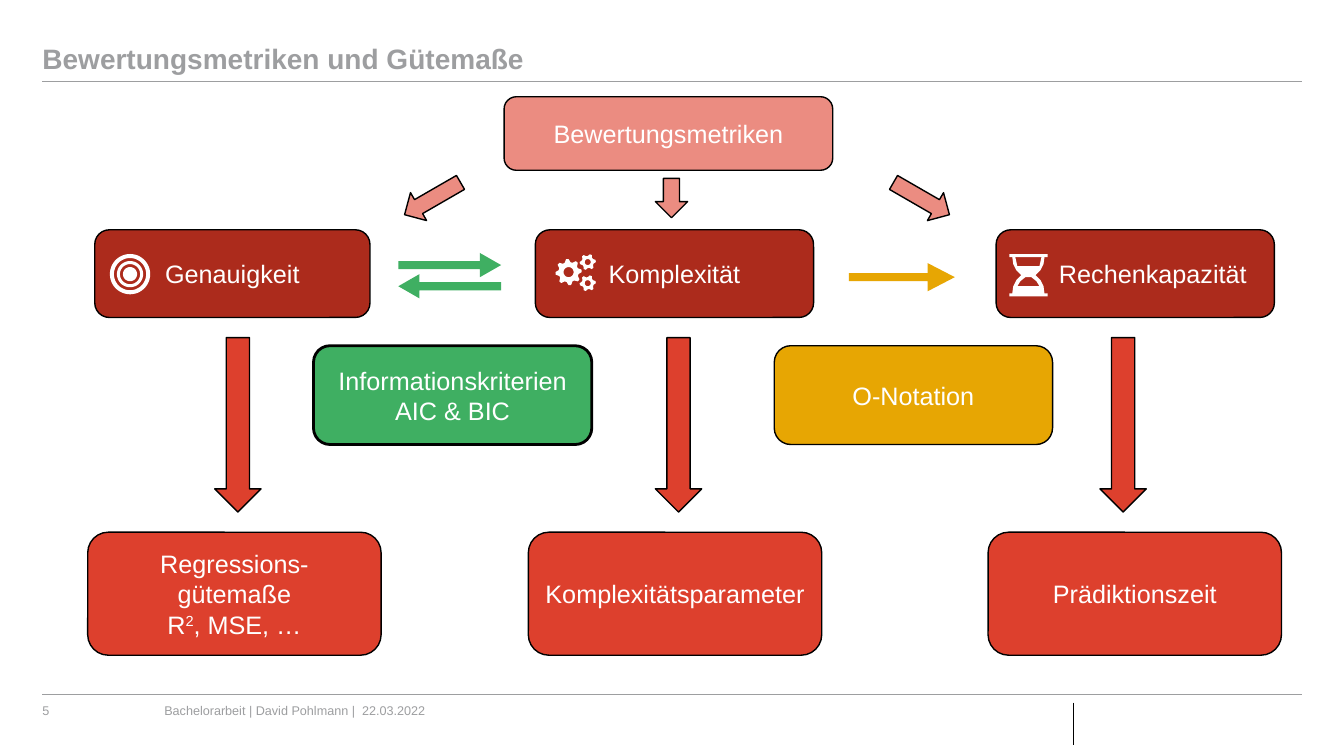
import math
import pptx
import pptx.util
import pptx.dml.color
import pptx.enum.shapes
import pptx.enum.text
import pptx.oxml.ns
import lxml.etree

Inches = pptx.util.Inches
Pt = pptx.util.Pt
Kind = pptx.enum.shapes.MSO_SHAPE
Align = pptx.enum.text.PP_ALIGN
Anchor = pptx.enum.text.MSO_ANCHOR

GREY, BLACK, WHITE = "9D9EA0", "000000", "FFFFFF"
PINK, RED, DARK = "EB8C81", "DD402D", "AC2B1C"
GREEN, GOLD = "3FAF62", "E7A603"


def color(code):
    return pptx.dml.color.RGBColor.from_string(code)


def write(frame, text, size=18, tint=WHITE, bold=False, align=Align.CENTER,
          anchor=Anchor.MIDDLE, pad=(0.05, 0.05), space=None):
    """Fill a text frame; the part between two ^ marks is raised."""
    frame.word_wrap = True
    frame.vertical_anchor = anchor
    frame.margin_left, frame.margin_right = map(Inches, pad)
    frame.margin_top = frame.margin_bottom = 0
    for row, line in enumerate(text.split("\n")):
        para = frame.add_paragraph() if row else frame.paragraphs[0]
        para.alignment = align
        para.line_spacing = space
        for part, piece in enumerate(line.split("^")):
            run = para.add_run()
            run.text = piece
            run.font.name = "Arial"
            run.font.size = Pt(size)
            run.font.bold = bold
            run.font.color.rgb = color(tint)
            if part % 2:
                run.font._element.set("baseline", "30000")


class Deck:
    def __init__(self):
        self.file = pptx.Presentation()
        self.file.slide_width = Inches(13.33)
        self.file.slide_height = Inches(7.5)
        self.slide = self.file.slides.add_slide(self.file.slide_layouts[6])
        self.shapes = self.slide.shapes

    def paint(self, shape, fill, line=None):
        shape.shadow.inherit = False
        shape.fill.solid()
        shape.fill.fore_color.rgb = color(fill)
        if line:
            shape.line.color.rgb = color(BLACK)
            shape.line.width = Pt(line)
        else:
            shape.line.fill.background()

    def shape(self, kind, x, y, w, h, fill, line=1, turn=0):
        shape = self.shapes.add_shape(kind, *map(Inches, (x, y, w, h)))
        self.paint(shape, fill, line)
        shape.rotation = turn
        return shape

    def box(self, text, x, y, w, h, fill, line=1, **style):
        shape = self.shape(Kind.ROUNDED_RECTANGLE, x, y, w, h, fill, line)
        write(shape.text_frame, text, **style)

    def arrow(self, x, y, w, h, fill, turn=0):
        self.shape(Kind.DOWN_ARROW, x, y, w, h, fill, turn=turn)

    def label(self, text, x, y, w, h, **style):
        box = self.shapes.add_textbox(*map(Inches, (x, y, w, h)))
        write(box.text_frame, text, tint=GREY, align=Align.LEFT, pad=(0, 0), **style)

    def rule(self, x1, y1, x2, y2, tint, width):
        line = self.shapes.add_connector(
            pptx.enum.shapes.MSO_CONNECTOR.STRAIGHT, *map(Inches, (x1, y1, x2, y2)))
        line.line.color.rgb = color(tint)
        line.line.width = Pt(width)
        lxml.etree.SubElement(line._element.spPr, pptx.oxml.ns.qn("a:effectLst"))

    def free(self, loops, fill):
        """One outline made of closed loops; inner loops cut holes."""
        loops = [[(Inches(x), Inches(y)) for x, y in loop] for loop in loops]
        pen = self.shapes.build_freeform(*loops[0][0])
        for nth, loop in enumerate(loops):
            if nth:
                pen.move_to(*loop[0])
            pen.add_line_segments(loop[1:], close=True)
        self.paint(pen.convert_to_shape(), fill)


def dart(x, y, size, head, half, stem):
    """Flat arrow with its tip at x, y; a negative size points left."""
    way = math.copysign(1, size)
    neck, tail = x - way * head, x - size
    return [(x, y), (neck, y + half), (neck, y + stem), (tail, y + stem),
            (tail, y - stem), (neck, y - stem), (neck, y - half)]


def ring(x, y, radii):
    step = 2 * math.pi / len(radii)
    return [(x + r * math.cos(i * step), y + r * math.sin(i * step))
            for i, r in enumerate(radii)]


def gear(x, y, tip, root, hole, teeth):
    return [ring(x, y, [tip, root, root, tip] * teeth), ring(x, y, [hole] * 24)]


def glass(x, y):
    """Hourglass around x, y, mirrored on both axes."""
    side = [(0.19, -0.21), (0.19, -0.18), (0.16, -0.18), (0.15, -0.11),
            (0.12, -0.05), (0.07, 0)]
    side += [(a, -b) for a, b in side[-2::-1]]
    upper = [(0.13, -0.18), (0.11, -0.09)]
    lower = [(0.03, 0.02), (0.08, 0.06), (0.11, 0.11)]
    return [[(x + a, y + b) for a, b in half + [(-a, b) for a, b in half[::-1]]]
            for half in (side, upper, lower)]


def main():
    deck = Deck()

    # Title and footer
    deck.label("Bewertungsmetriken und Gütemaße", 0.42, 0.16, 12.49, 0.59,
               size=20, bold=True, anchor=Anchor.BOTTOM, space=0.9)
    deck.label("5", 0.42, 6.97, 0.96, 0.15, size=9, anchor=Anchor.TOP)
    deck.label("Bachelorarbeit | David Pohlmann |  22.03.2022", 1.63, 6.97,
               3.94, 0.47, size=9, anchor=Anchor.TOP)
    for y in (0.81, 6.89):
        deck.rule(0.42, y, 12.91, y, GREY, 0.5)
    deck.rule(10.65, 6.97, 10.65, 7.39, BLACK, 0.75)

    # Root box and its three arrows
    deck.box("Bewertungsmetriken", 5, 0.96, 3.26, 0.73, PINK)
    for x, y, h, turn in ((4.13, 1.65, 0.64, 60), (6.5, 1.77, 0.39, 0),
                          (8.98, 1.65, 0.64, 300)):
        deck.arrow(x, y, 0.32, h, PINK, turn)

    # Columns: metric, arrow down, measure
    tight, wide, icon = (0.05, 0.05), (0.2, 0.2), (0.4, 0.05)
    for top, x, w, pad, stem, low, left, inset in (
            ("Genauigkeit", 0.94, 2.73, tight, 2.13,
             "Regressions-gütemaße\nR^2^, MSE, …", 0.87, wide),
            ("Komplexität", 5.31, 2.76, tight, 6.5,
             "Komplexitätsparameter", 5.24, tight),
            ("Rechenkapazität", 9.88, 2.76, icon, 10.91,
             "Prädiktionszeit", 9.8, tight)):
        deck.box(top, x, 2.28, w, 0.87, DARK, pad=pad)
        deck.arrow(stem, 3.35, 0.46, 1.73, RED)
        deck.box(low, left, 5.28, 2.91, 1.22, RED, pad=inset)

    # Links between the metrics
    deck.box("Informationskriterien AIC & BIC", 3.11, 3.43, 2.76, 0.98, GREEN, 2)
    deck.box("O-Notation", 7.68, 3.43, 2.76, 0.98, GOLD)
    deck.free([dart(4.97, 2.63, 1.02, 0.21, 0.12, 0.04),
               dart(3.95, 2.84, -1.02, 0.21, 0.12, 0.04)], GREEN)
    deck.free([dart(9.47, 2.75, 1.05, 0.27, 0.14, 0.04)], GOLD)

    # Icons: target, gears, hourglass
    deck.free([ring(1.29, 2.72, [r] * 48)
               for r in (0.2, 0.16, 0.13, 0.1, 0.07)], WHITE)
    deck.free(gear(5.64, 2.7, 0.13, 0.1, 0.05, 8)
              + gear(5.83, 2.6, 0.08, 0.06, 0.03, 6)
              + gear(5.83, 2.81, 0.08, 0.06, 0.03, 6), WHITE)
    deck.free(glass(10.2, 2.73), WHITE)

    deck.file.save("out.pptx")


if __name__ == "__main__":
    main()
